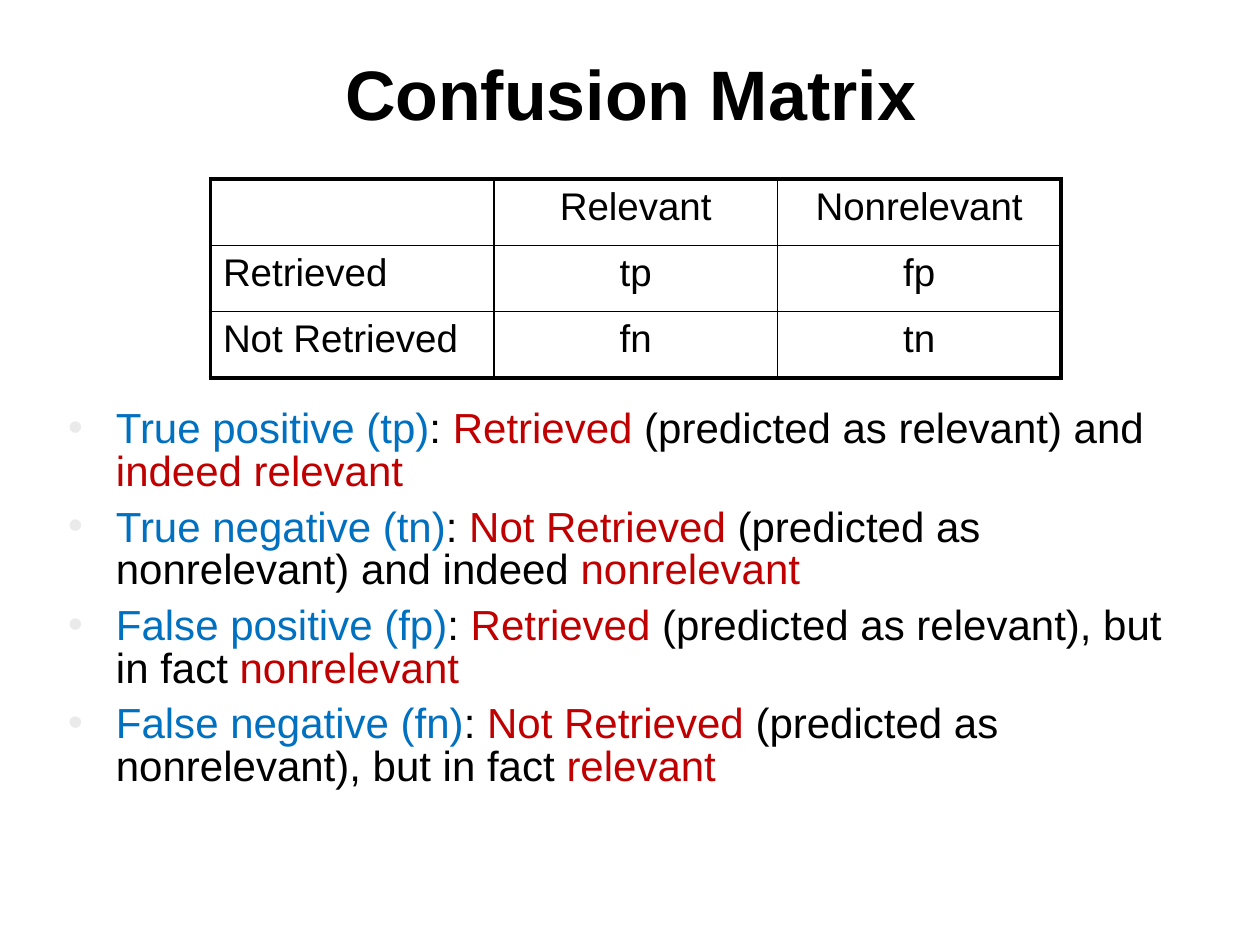
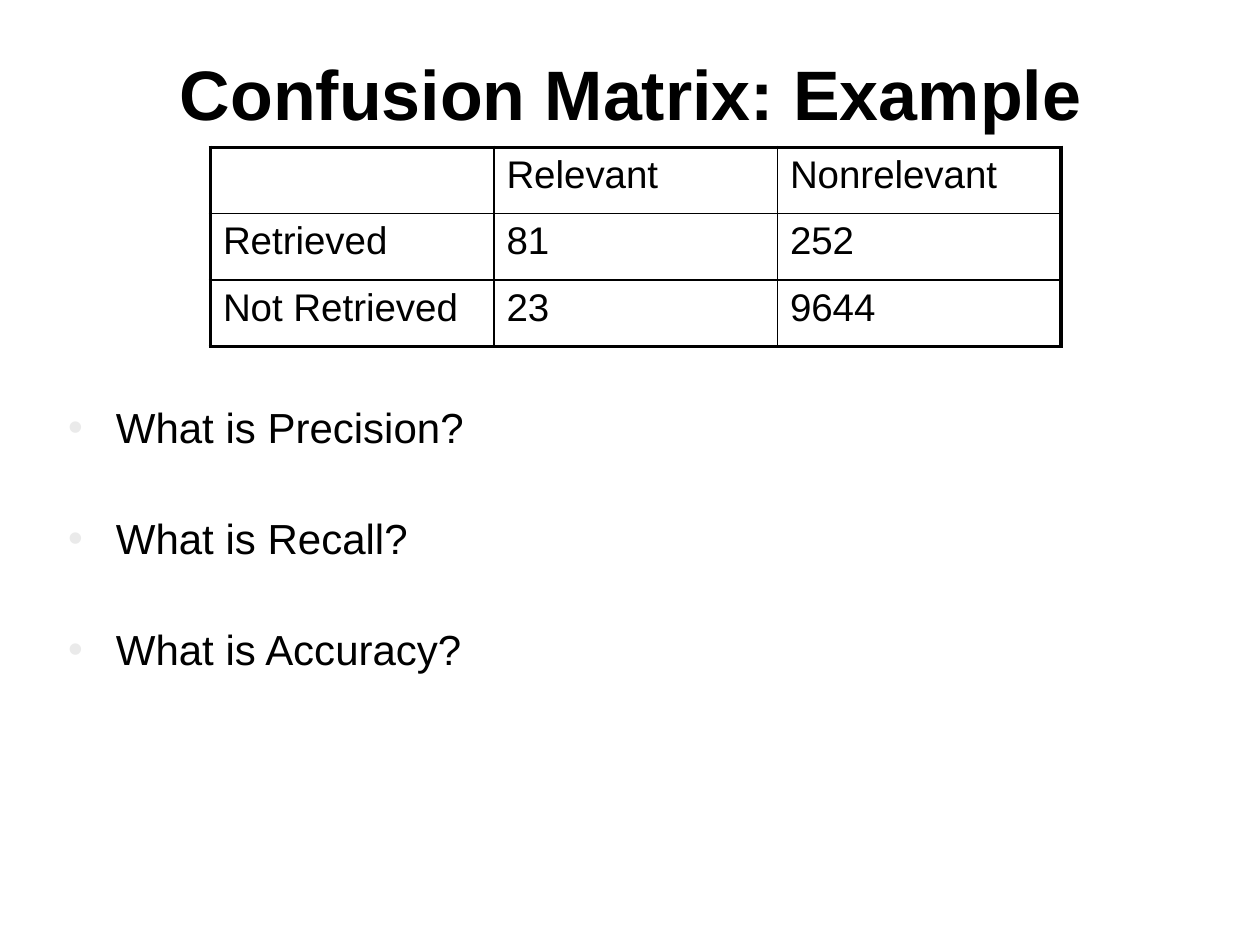
from lxml.etree import SubElement
from pptx import Presentation
from pptx.dml.color import RGBColor
from pptx.enum.text import MSO_ANCHOR, PP_ALIGN
from pptx.oxml.ns import qn
from pptx.util import Inches, Pt

BLACK = RGBColor(0x00, 0x00, 0x00)
BLUE = RGBColor(0x00, 0x70, 0xC0)
RED = RGBColor(0xC0, 0x00, 0x00)
GRAY = RGBColor(0xEA, 0xEA, 0xEA)
FONT = "Arial"
THICK, THIN = Pt(2.25), Pt(1)


class Deck:
    def __init__(self):
        self.show = Presentation()
        self.show.slide_width = Inches(10)
        self.show.slide_height = Inches(7.5)
        self.slide = None

    def run(self, para, text, size, color=BLACK, bold=False):
        run = para.add_run()
        run.text = text
        font = run.font
        font.name, font.size, font.bold = FONT, Pt(size), bold
        font.color.rgb = color

    def frame(self, shape, left, top, width, height):
        shape.left, shape.top = Inches(left), Inches(top)
        shape.width, shape.height = Inches(width), Inches(height)
        frame = shape.text_frame
        frame.word_wrap = True
        frame.vertical_anchor = MSO_ANCHOR.TOP
        frame.margin_left = frame.margin_right = 0
        frame.margin_top = frame.margin_bottom = 0
        return frame

    def title(self, text):
        self.slide = self.show.slides.add_slide(self.show.slide_layouts[5])
        para = self.frame(self.slide.shapes.title, 0.52, 0.5, 8.97, 1.08).paragraphs[0]
        para.alignment = PP_ALIGN.CENTER
        para.line_spacing = 0.85
        self.run(para, text, 40, bold=True)

    def border(self, cell, side, width):
        line = SubElement(cell._tc.get_or_add_tcPr(), qn("a:" + side), w=str(width))
        fill = SubElement(line, qn("a:solidFill"))
        SubElement(fill, qn("a:srgbClr"), val=str(BLACK))

    def matrix(self, top, values, align):
        rows = [["", "Relevant", "Nonrelevant"],
                ["Retrieved", *values[0]],
                ["Not Retrieved", *values[1]]]
        last = len(rows) - 1
        table = self.slide.shapes.add_table(
            3, 3, Inches(1.67), Inches(top), Inches(6.75), Inches(1.58)).table
        table.first_row = table.horz_banding = False
        for r, row in enumerate(rows):
            for c, text in enumerate(row):
                cell = table.cell(r, c)
                edges = {"lnL": c == 0, "lnR": c == last, "lnT": r == 0, "lnB": r == last}
                for side, outer in edges.items():
                    self.border(cell, side, THICK if outer else THIN)
                cell.fill.background()
                if text:
                    para = cell.text_frame.paragraphs[0]
                    para.alignment = align if c else PP_ALIGN.LEFT
                    self.run(para, text, 22)

    def bullet(self, para):
        props = para._p.get_or_add_pPr()
        props.set("marL", str(Inches(0.38)))
        props.set("indent", str(-Inches(0.38)))
        color = SubElement(props, qn("a:buClr"))
        SubElement(color, qn("a:srgbClr"), val=str(GRAY))
        SubElement(props, qn("a:buFont"), typeface=FONT)
        SubElement(props, qn("a:buChar"), char="•")

    def points(self, items, gap):
        box = self.slide.shapes.add_textbox(0, 0, 0, 0)
        frame = self.frame(box, 0.54, 3.25, 8.95, 3.2)
        for i, item in enumerate(items):
            para = frame.add_paragraph() if i else frame.paragraphs[0]
            para.line_spacing = 0.85
            para.space_before = Pt(gap if i else 0)
            self.bullet(para)
            for text, color in item:
                self.run(para, text, 24, color)


def term(name, guess, link, fact):
    return [(name, BLUE), (": ", BLACK), (guess, RED), (link, BLACK), (fact, RED)]


def main():
    deck = Deck()
    deck.title("Confusion Matrix")
    deck.points([
        term("True positive (tp)", "Retrieved ",
             "(predicted as relevant) and ", "indeed relevant"),
        term("True negative (tn)", "Not Retrieved ",
             "(predicted as nonrelevant) and indeed ", "nonrelevant"),
        term("False positive (fp)", "Retrieved",
             " (predicted as relevant), but in fact ", "nonrelevant"),
        term("False negative (fn)", "Not Retrieved ",
             "(predicted as nonrelevant), but in fact ", "relevant"),
    ], 7.2)
    deck.matrix(1.42, [["tp", "fp"], ["fn", "tn"]], PP_ALIGN.CENTER)

    deck.title("Confusion Matrix: Example")
    deck.points([[(f"What is {name}?", BLACK)]
                 for name in ("Precision", "Recall", "Accuracy")], 38.8)
    deck.matrix(1.17, [["81", "252"], ["23", "9644"]], PP_ALIGN.LEFT)
    deck.show.save("out.pptx")


if __name__ == "__main__":
    main()
